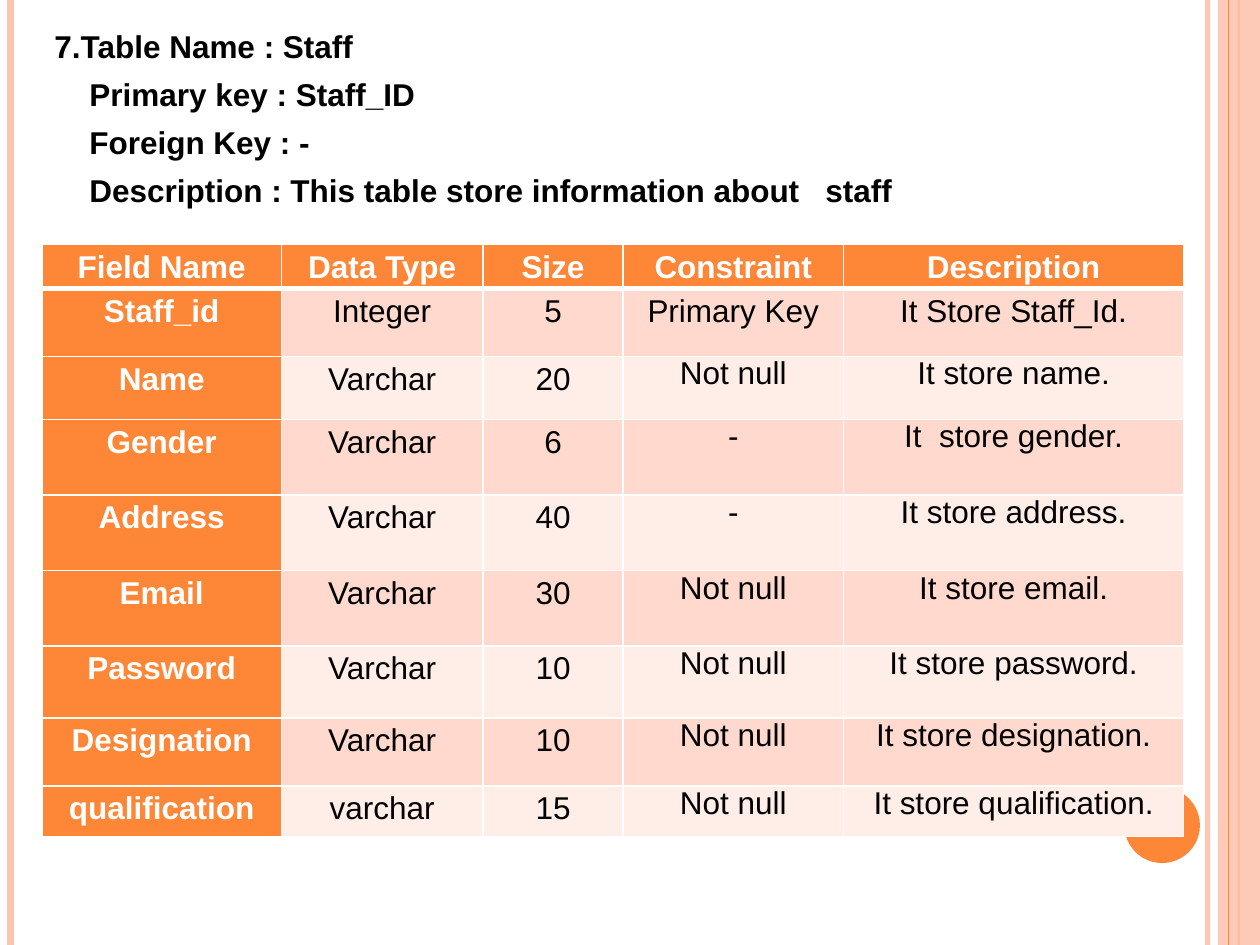
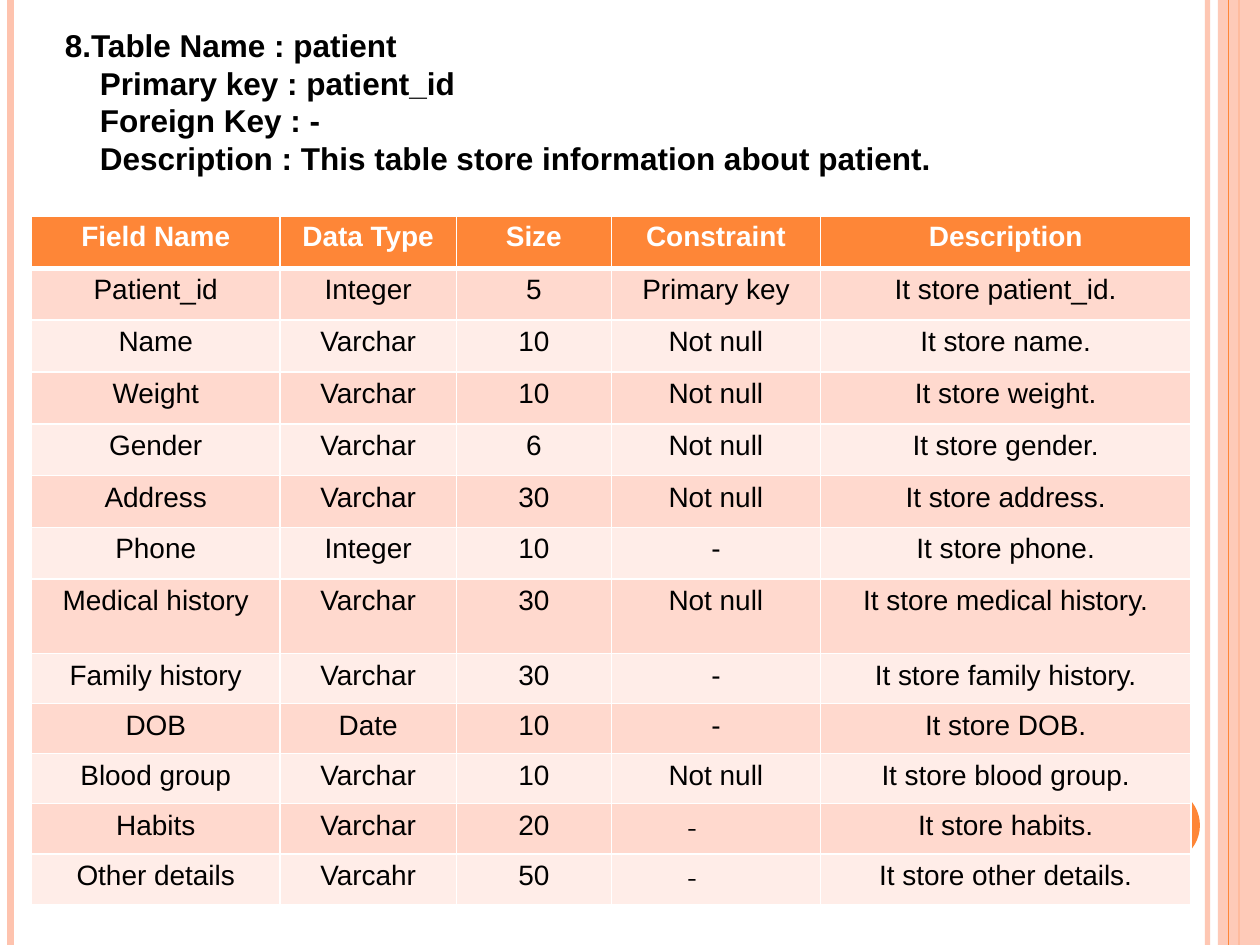
from lxml.etree import SubElement
from pptx import Presentation
from pptx.dml.color import RGBColor
from pptx.enum.shapes import MSO_CONNECTOR, MSO_SHAPE
from pptx.enum.text import PP_ALIGN
from pptx.oxml.ns import qn
from pptx.util import Pt

ORANGE = RGBColor(0xFE, 0x86, 0x37)
PEACH = RGBColor(0xFE, 0xC3, 0xAE)
BAND_DARK = RGBColor(0xFF, 0xD9, 0xCE)
BAND_LIGHT = RGBColor(0xFF, 0xED, 0xE8)
WHITE = RGBColor(0xFF, 0xFF, 0xFF)
BLACK = RGBColor(0, 0, 0)

SLIDE_WIDTH, SLIDE_HEIGHT = 720, 540
HEADER = ["Field Name", "Data Type", "Size", "Constraint", "Description"]

# Vertical rules: x, colour, width, opacity in percent
RULES_BELOW_BAND = [(690, PEACH, 3, 93), (6, PEACH, 4.5, 100), (708, ORANGE, 1.5, 100)]
RULES_ABOVE_BAND = [(702, ORANGE, 0.75, 100)]

PAGES = [
    {
        "heading": ["7.Table Name : Staff", "Primary key : Staff_ID", "Foreign Key : -",
                    "Description : This table store information about   staff"],
        "heading_box": (24, 12, 660, 111),
        "heading_gap": 6,
        "table_at": (24, 139.7),
        "columns": [136.8, 115.2, 80, 126, 194.4],
        "heights": [25.2, 38.7, 36, 43.2, 43.2, 43.2, 41, 38.9, 28.8],
        "size": 18,
        "orange_first_column": True,
        "rows": [
            ["Staff_id", "Integer", "5", "Primary Key", "It Store Staff_Id."],
            ["Name", "Varchar", "20", "Not null", "It store name."],
            ["Gender", "Varchar", "6", "-", "It  store gender."],
            ["Address", "Varchar", "40", "-", "It store address."],
            ["Email", "Varchar", "30", "Not null", "It store email."],
            ["Password", "Varchar", "10", "Not null", "It store password."],
            ["Designation", "Varchar", "10", "Not null", "It store designation."],
            ["qualification", "varchar", "15", "Not null", "It store qualification."],
        ],
    },
    {
        "heading": ["8.Table Name : patient", "Primary key : patient_id", "Foreign Key : -",
                    "Description : This table store information about patient."],
        "heading_box": (30, 11.5, 510, 116.6),
        "heading_gap": 0,
        "table_at": (18, 123.8),
        "columns": [142, 100.8, 88.6, 119.5, 211.7],
        "heights": [29.6] * 7 + [42.5] + [28.6] * 5,
        "size": 16,
        "orange_first_column": False,
        "rows": [
            ["Patient_id", "Integer", "5", "Primary key", "It store patient_id."],
            ["Name", "Varchar", "10", "Not null", "It store name."],
            ["Weight", "Varchar", "10", "Not null", "It store weight."],
            ["Gender", "Varchar", "6", "Not null", "It store gender."],
            ["Address", "Varchar", "30", "Not null", "It store address."],
            ["Phone", "Integer", "10", "-", "It store phone."],
            ["Medical history", "Varchar", "30", "Not null", "It store medical history."],
            ["Family history", "Varchar", "30", "-", "It store family history."],
            ["DOB", "Date", "10", "-", "It store DOB."],
            ["Blood group", "Varchar", "10", "Not null", "It store blood group."],
            ["Habits", "Varchar", "20", "-", "It store habits."],
            ["Other details", "Varcahr", "50", "-", "It store other details."],
        ],
    },
]


def write(paragraph, text, size=18, font="Arial", color=BLACK, bold=False,
          align=PP_ALIGN.LEFT, line_spacing=1.0, before=0, indent=0):
    run = paragraph.add_run()
    run.text = text
    run.font.size = Pt(size)
    run.font.name = font
    run.font.bold = bold
    run.font.color.rgb = color
    paragraph.alignment = align
    paragraph.line_spacing = line_spacing
    paragraph.space_before = Pt(before)
    if indent:
        paragraph._p.get_or_add_pPr().set("marL", str(Pt(indent)))


def add_rules(slide, rules):
    for x, color, width, opacity in rules:
        rule = slide.shapes.add_connector(
            MSO_CONNECTOR.STRAIGHT, Pt(x), Pt(0), Pt(x), Pt(SLIDE_HEIGHT))
        rule.line.color.rgb = color
        rule.line.width = Pt(width)
        if opacity < 100:
            color_element = next(rule._element.spPr.iter(qn("a:srgbClr")))
            SubElement(color_element, qn("a:alpha"), val=str(opacity * 1000))
        SubElement(rule._element.spPr, qn("a:effectLst"))


presentation = Presentation()
presentation.slide_width = Pt(SLIDE_WIDTH)
presentation.slide_height = Pt(SLIDE_HEIGHT)

for page in PAGES:
    slide = presentation.slides.add_slide(presentation.slide_layouts[6])

    # Side rules, translucent right band and corner disc
    add_rules(slide, RULES_BELOW_BAND)
    band = slide.shapes.add_shape(MSO_SHAPE.RECTANGLE, Pt(696), Pt(0), Pt(24), Pt(SLIDE_HEIGHT))
    add_rules(slide, RULES_ABOVE_BAND)
    disc = slide.shapes.add_shape(MSO_SHAPE.OVAL, Pt(642.5), Pt(450), Pt(43.2), Pt(43.2))
    for shape, color in [(band, PEACH), (disc, ORANGE)]:
        shape.shadow.inherit = False
        shape.fill.solid()
        shape.fill.fore_color.rgb = color
        shape.line.fill.background()
    band_color = next(band._element.spPr.iter(qn("a:srgbClr")))
    SubElement(band_color, qn("a:alpha"), val="87000")

    # Heading lines, indented below the first
    heading = slide.shapes.add_textbox(*[Pt(length) for length in page["heading_box"]])
    heading.text_frame.word_wrap = True
    for index, line in enumerate(page["heading"]):
        paragraph = (heading.text_frame.add_paragraph() if index
                     else heading.text_frame.paragraphs[0])
        write(paragraph, line, bold=True, line_spacing=Pt(21.5),
              before=page["heading_gap"], indent=20 if index else 0)

    # Table frame
    rows = [HEADER] + page["rows"]
    left, top = page["table_at"]
    table = slide.shapes.add_table(
        len(rows), len(HEADER), Pt(left), Pt(top),
        Pt(sum(page["columns"])), Pt(sum(page["heights"]))).table
    table.horz_banding = False
    table.first_row = False
    for column, width in zip(table.columns, page["columns"]):
        column.width = Pt(width)
    for row, height in zip(table.rows, page["heights"]):
        row.height = Pt(height)

    # Table cells
    for row_index, values in enumerate(rows):
        for column_index, value in enumerate(values):
            cell = table.cell(row_index, column_index)
            is_orange = row_index == 0 or (column_index == 0 and page["orange_first_column"])
            is_tight = row_index == 0 or page["orange_first_column"]
            is_loose_line = row_index == 0 or (
                page["orange_first_column"] and (row_index == 1 or column_index < 3))

            cell.margin_left = cell.margin_right = Pt(5 if is_tight else 7.2)
            cell.margin_top = cell.margin_bottom = Pt(0 if is_tight else 3.6)

            widths = {"a:lnL": 1, "a:lnR": 1,
                      "a:lnT": 3 if row_index == 1 else 1,
                      "a:lnB": 3 if row_index == 0 else 1}
            for edge, width in widths.items():
                border = SubElement(cell._tc.get_or_add_tcPr(), qn(edge), w=str(Pt(width)))
                border_fill = SubElement(border, qn("a:solidFill"))
                SubElement(border_fill, qn("a:srgbClr"), val=str(WHITE))

            cell.fill.solid()
            cell.fill.fore_color.rgb = (
                ORANGE if is_orange else BAND_DARK if row_index % 2 else BAND_LIGHT)

            text_format = {"size": page["size"], "align": PP_ALIGN.CENTER,
                           "color": WHITE if is_orange else BLACK, "bold": is_orange,
                           "line_spacing": 1.15 if is_loose_line else 1.0}
            if values[0] in ("Habits", "Other details") and value == "-":
                text_format.update(size=18, font="Cambria", align=PP_ALIGN.LEFT, indent=36)
            write(cell.text_frame.paragraphs[0], value, **text_format)

presentation.save("out.pptx")
